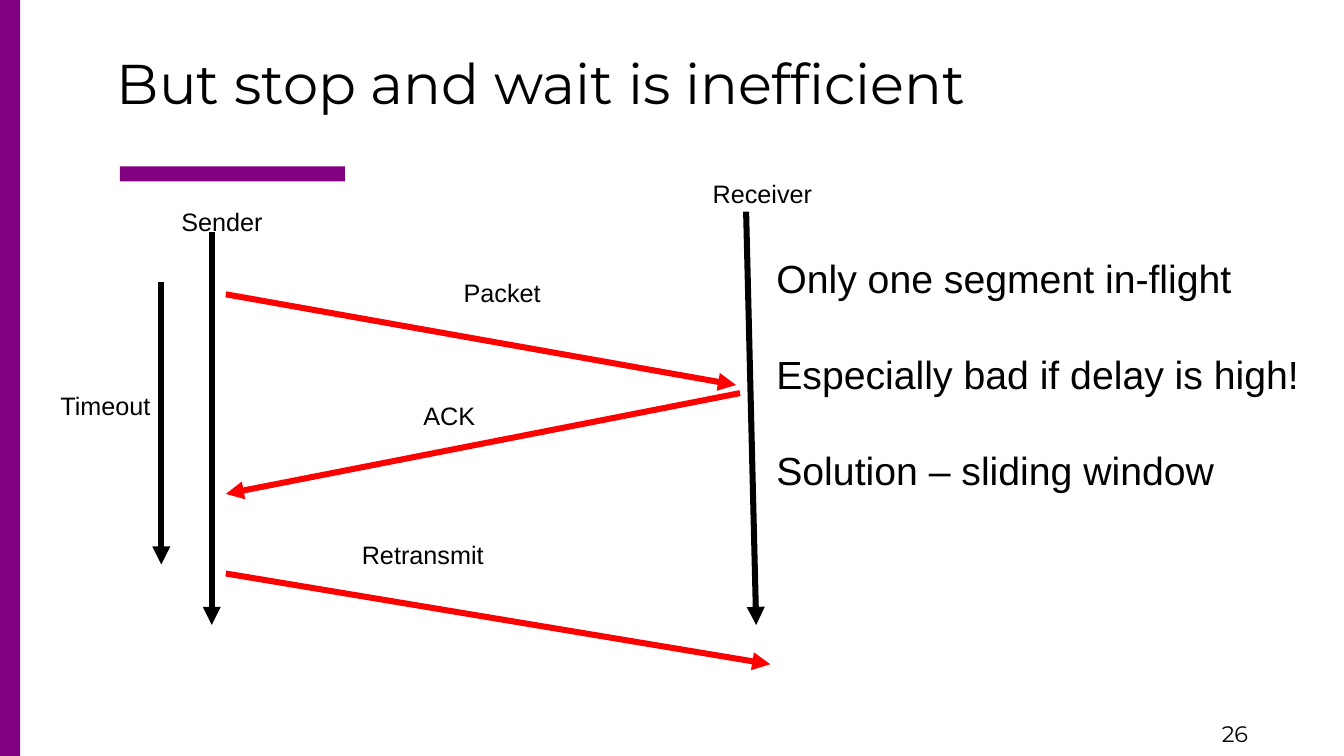
from pptx import Presentation
from pptx import util as u
from pptx.dml.color import RGBColor
from pptx.enum import shapes, text
from pptx.oxml.ns import qn
from lxml import etree

COLORS = {"accent": "800080", "message": "FF0000", "ink": "000000"}


class Deck:
    """Draw styled elements on the current slide."""

    def __init__(self, prs):
        self.prs = prs
        self.s = prs.slides.add_slide(prs.slide_layouts[1])

    def color(self, name):
        return RGBColor.from_string(COLORS[name])

    def place(self, sp, at):
        for name, value in zip(("left", "top", "width", "height"), at):
            setattr(sp, name, u.Inches(value))

    def set_text(self, sp, lines, size, font="Arial", gap=0, **frame):
        tf = sp.text_frame
        fmt = {"word_wrap": False, "auto_size": text.MSO_AUTO_SIZE.NONE,
               "vertical_anchor": text.MSO_ANCHOR.TOP, **frame}
        for name, value in fmt.items():
            setattr(tf, name, value)
        for i, line in enumerate(lines):
            p = tf.add_paragraph() if i else tf.paragraphs[0]
            p.alignment = text.PP_ALIGN.LEFT
            p.space_before = u.Pt(gap if i else 0)
            pPr = p._p.get_or_add_pPr()
            pPr.set("marL", "0")
            pPr.set("indent", "0")
            etree.SubElement(pPr, qn("a:buNone"))
            r = p.add_run()
            r.text = line
            for name, value in {"size": u.Pt(size), "name": font}.items():
                setattr(r.font, name, value)
            r.font.color.rgb = self.color("ink")

    def title(self, line, at):
        sp = self.s.shapes.title
        self.place(sp, at)
        self.set_text(sp, [line], 40, "Montserrat", word_wrap=True,
                      vertical_anchor=text.MSO_ANCHOR.BOTTOM, margin_left=u.Inches(0.34))

    def body(self, lines, at):
        sp = self.s.placeholders[1]
        self.place(sp, at)
        self.set_text(sp, lines, 28, gap=35)

    def label(self, line, at, size=18, font="Arial"):
        sp = self.s.shapes.add_textbox(*map(u.Inches, at))
        self.set_text(sp, [line], size, font)

    def bar(self, at):
        sp = self.s.shapes.add_shape(shapes.MSO_SHAPE.RECTANGLE, *map(u.Inches, at))
        sp.shadow.inherit = False
        sp.fill.solid()
        sp.fill.fore_color.rgb = self.color("accent")
        sp.line.fill.background()

    def arrow(self, ends, color):
        sp = self.s.shapes.add_connector(shapes.MSO_CONNECTOR.STRAIGHT, *map(u.Inches, ends))
        sp.line.color.rgb = self.color(color)
        sp.line.width = u.Pt(4.31)
        spPr = sp._element.spPr
        etree.SubElement(spPr.find(qn("a:ln")), qn("a:tailEnd"), type="triangle")
        etree.SubElement(spPr, qn("a:effectLst"))


def main():
    prs = Presentation()
    prs.slide_width, prs.slide_height = u.Inches(13.33), u.Inches(7.5)
    deck = Deck(prs)
    deck.bar((1.19, 1.65, 2.23, 0.15))
    deck.bar((0, 0, 0.2, 7.5))
    deck.label("26", (12.02, 7.1, 1.3, 0.4), 16, "Montserrat")
    deck.title("But stop and wait is inefficient", (0.82, 0.17, 12.08, 1.03))
    deck.body(["Only one segment in-flight", "Especially bad if delay is high!",
               "Solution – sliding window"], (7.6, 2.47, 5.4, 3.13))
    for ends in ((2.24, 2.92, 7.3, 3.82), (7.34, 3.9, 2.24, 4.9), (2.24, 5.69, 7.64, 6.59)):
        deck.arrow(ends, "message")
    for ends in ((2.1, 2.3, 2.1, 6.2), (7.4, 2.1, 7.5, 6.2), (1.6, 2.8, 1.6, 5.6)):
        deck.arrow(ends, "ink")
    for line, left, top, width in (
        ("Sender", 1.7, 2, 1),
        ("Receiver", 6.97, 1.72, 1.18),
        ("Packet", 4.5, 2.7, 0.96),
        ("ACK", 4.1, 3.92, 0.71),
        ("Retransmit", 3.49, 5.3, 1.41),
        ("Timeout", 0.5, 3.82, 1.09),
    ):
        deck.label(line, (left, top, width, 0.38))
    prs.save("out.pptx")


if __name__ == "__main__":
    main()
